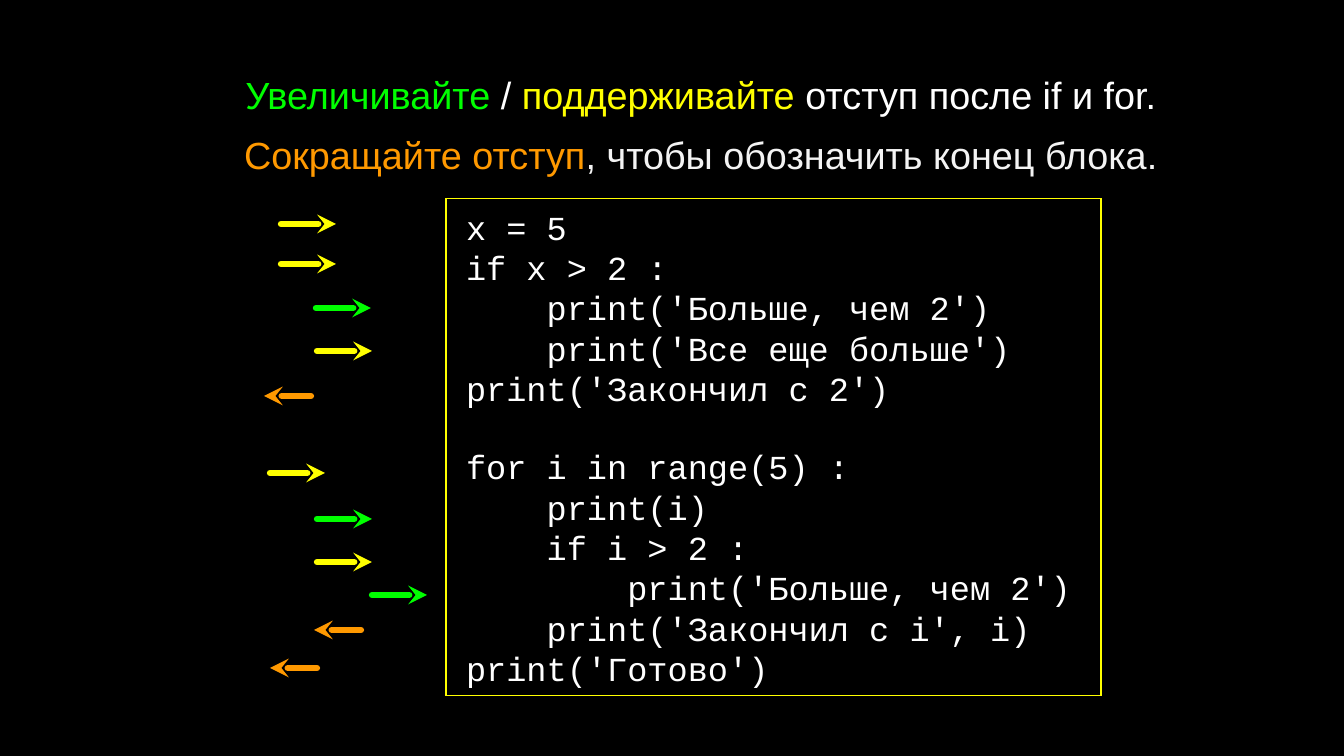
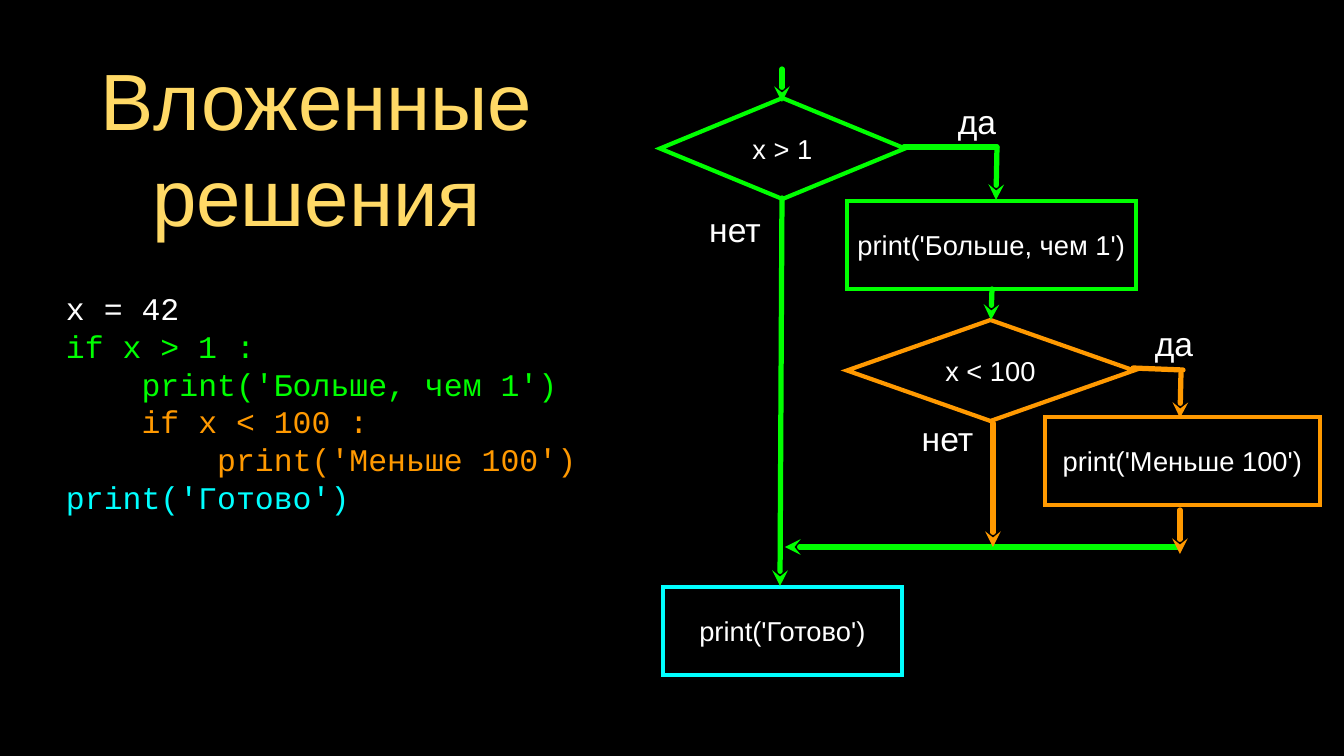
from dataclasses import dataclass

from lxml import etree
from pptx import Presentation
from pptx.dml.color import RGBColor
from pptx.enum.shapes import MSO_CONNECTOR, MSO_SHAPE
from pptx.enum.text import MSO_ANCHOR, MSO_AUTO_SIZE, PP_ALIGN
from pptx.oxml.ns import qn
from pptx.util import Emu, Pt

# Shared look
EMU_PER_PIXEL = 914400 / 75.6
BLACK, WHITE, PALE = "000000", "FFFFFF", "F3F3F3"
GREEN, YELLOW, ORANGE = "00FF00", "FFFF00", "FF9900"
CYAN, GOLD = "00FFFF", "FFD966"
SANS, MONO = "Arial", "Courier New"
LEFT, CENTER = PP_ALIGN.LEFT, PP_ALIGN.CENTER
TOP, MIDDLE = MSO_ANCHOR.TOP, MSO_ANCHOR.MIDDLE
RECTANGLE, DIAMOND = MSO_SHAPE.RECTANGLE, MSO_SHAPE.DIAMOND
STRAIGHT = MSO_CONNECTOR.STRAIGHT
NO_AUTOFIT = MSO_AUTO_SIZE.NONE
TITLE_ONLY = 5
CHAR_WIDTH, LINE_HEIGHT = 0.6, 1.133  # Monospace metrics, in ems


@dataclass
class Line:
    """One paragraph: spans of (text, colour), code depth, points above."""
    spans: list
    depth: int = 0
    before: float = 0


def px(length):
    return Emu(round(length * EMU_PER_PIXEL))


def color(hex_code):
    return RGBColor.from_string(hex_code)


def write(frame, lines, size, font=SANS, align=CENTER, anchor=MIDDLE,
          inset=0, left_inset=None):
    """Fill a text frame; a depth of one indents by four characters."""
    frame.auto_size = NO_AUTOFIT
    frame.word_wrap = True
    frame.vertical_anchor = anchor
    frame.margin_top = frame.margin_right = frame.margin_bottom = px(inset)
    frame.margin_left = px(inset if left_inset is None else left_inset)
    for index, line in enumerate(lines):
        para = frame.paragraphs[0] if index == 0 else frame.add_paragraph()
        para.alignment = align
        para.space_before = Pt(line.before)
        if line.depth:
            indent = Pt(line.depth * 4 * CHAR_WIDTH * size)
            para._p.get_or_add_pPr().set("marL", str(indent))
        for text, hex_code in line.spans:
            span = para.add_run()
            span.text = text
            span.font.name = font
            span.font.size = Pt(size)
            span.font.bold = False
            span.font.color.rgb = color(hex_code)


def place_title(page, box, lines, size, **text_format):
    title = page.shapes.title
    title.left, title.top, title.width, title.height = map(px, box)
    write(title.text_frame, lines, size, **text_format)


def add_text(page, box, lines, size, **text_format):
    text_box = page.shapes.add_textbox(*map(px, box))
    write(text_box.text_frame, lines, size, **text_format)


def add_outline(page, kind, box, hex_code, width, lines, size, **text_format):
    shape = page.shapes.add_shape(kind, *map(px, box))
    shape.shadow.inherit = False
    shape.fill.background()
    shape.line.color.rgb = color(hex_code)
    shape.line.width = Pt(width)
    miter = etree.SubElement(shape.line._get_or_add_ln(), qn("a:miter"))
    miter.set("lim", "800000")
    write(shape.text_frame, lines, size, **text_format)


def add_arrow(page, start, end, hex_code, width, head=True):
    """Round-capped line, with a stealth arrowhead at its end."""
    arrow = page.shapes.add_connector(STRAIGHT, *map(px, (*start, *end)))
    arrow.line.color.rgb = color(hex_code)
    arrow.line.width = Pt(width)
    outline = arrow.line._get_or_add_ln()
    outline.set("cap", "rnd")
    etree.SubElement(outline, qn("a:round"))
    if head:
        etree.SubElement(outline, qn("a:tailEnd")).set("type", "stealth")
    etree.SubElement(arrow._element.spPr, qn("a:effectLst"))


def indent_arrows(page, left, top):
    """Arrows that show how the indent changes on each line of code."""
    keep, deeper, back = (YELLOW, 55), (GREEN, 55), (ORANGE, -47)
    steps = [
        (17, 0, keep), (17, 40, keep), (52, 84, deeper), (53, 127, keep),
        (0, 172, back), (6, 249, keep), (53, 295, deeper), (53, 338, keep),
        (108, 371, deeper), (50, 406, back), (6, 444, back),
    ]
    for x, y, (hex_code, length) in steps:
        near, far = left + x, left + x + abs(length)
        start, end = (near, far) if length > 0 else (far, near)
        add_arrow(page, (start, top + y), (end, top + y), hex_code, 6)


def indent_slide(page):
    # Heading
    place_title(page, (218, 72, 966, 118), [
        Line([("Увеличивайте ", GREEN), ("/ ", WHITE),
              ("поддерживайте ", YELLOW),
              ("отступ после if и for.", WHITE)]),
        Line([("Сокращайте отступ", ORANGE),
              (", чтобы обозначить конец блока.", PALE)], before=13.8),
    ], 36, anchor=TOP)

    # Code in a frame, with one line of space between its two blocks
    size = 32
    first_block = [
        (0, "x = 5"), (0, "if x > 2 :"), (1, "print('Больше, чем 2')"),
        (1, "print('Все еще больше')"), (0, "print('Закончил с 2')"),
    ]
    second_block = [
        (0, "for i in range(5) :"), (1, "print(i)"), (1, "if i > 2 :"),
        (2, "print('Больше, чем 2')"), (1, "print('Закончил с i', i)"),
        (0, "print('Готово')"),
    ]
    lines = [Line([(text, WHITE)], depth)
             for depth, text in first_block + second_block]
    lines[len(first_block)].before = round(size * LINE_HEIGHT, 2)
    add_outline(page, RECTANGLE, (446, 199, 655, 497), YELLOW, 1, lines, size,
                font=MONO, align=LEFT, left_inset=20)

    indent_arrows(page, 264, 224)


def flowchart(page, left, top):
    # Decisions and actions
    nodes = [
        (DIAMOND, (0, 30, 245, 101), GREEN, "x > 1"),
        (RECTANGLE, (187, 133, 289, 88), GREEN, "print('Больше, чем 1')"),
        (DIAMOND, (187, 252, 287, 101), ORANGE, "x < 100"),
        (RECTANGLE, (385, 349, 275, 88), ORANGE, "print('Меньше 100')"),
        (RECTANGLE, (3, 519, 239, 88), CYAN, "print('Готово')"),
    ]
    for kind, (x, y, width, height), hex_code, text in nodes:
        add_outline(page, kind, (left + x, top + y, width, height), hex_code,
                    4, [Line([(text, WHITE)])], 26)

    # Paths: start, end, colour, arrowhead
    paths = [
        ((122, 1), (122, 34), GREEN, True),
        ((244, 79), (337, 79), GREEN, False),
        ((337, 79), (336, 132), GREEN, True),
        ((122, 130), (120, 518), GREEN, True),
        ((473, 300), (523, 302), ORANGE, False),
        ((521, 305), (520, 350), ORANGE, True),
        ((332, 221), (331, 252), GREEN, True),
        ((518, 479), (125, 479), GREEN, True),
        ((333, 355), (333, 479), ORANGE, True),
        ((520, 442), (520, 486), ORANGE, True),
    ]
    for (x1, y1), (x2, y2), hex_code, head in paths:
        add_arrow(page, (left + x1, top + y1), (left + x2, top + y2),
                  hex_code, 5, head)

    # Branch labels
    labels = [(279, 34, 76, "да"), (476, 256, 76, "да"),
              (256, 351, 63, "нет"), (45, 142, 60, "нет")]
    for x, y, width, text in labels:
        add_text(page, (left + x, top + y, width, 39),
                 [Line([(text, WHITE)])], 32)


def nested_slide(page):
    place_title(page, (97, 57, 439, 179),
                [Line([("Вложенные решения", GOLD)])], 76, inset=3)

    # Code, coloured like the parts of the flowchart
    code = [
        (0, "x = 42", WHITE), (0, "if x > 1 :", GREEN),
        (1, "print('Больше, чем 1')", GREEN), (1, "if x < 100 :", ORANGE),
        (2, "print('Меньше 100')", ORANGE), (0, "print('Готово')", CYAN),
    ]
    add_text(page, (66, 265, 575, 275),
             [Line([(text, hex_code)], depth)
              for depth, text, hex_code in code],
             30, font=MONO, align=LEFT)

    flowchart(page, 660, 68)


deck = Presentation()
deck.slide_width, deck.slide_height = px(1344), px(756)
backdrop = deck.slide_master.background.fill
backdrop.solid()
backdrop.fore_color.rgb = color(BLACK)
for build in (indent_slide, nested_slide):
    build(deck.slides.add_slide(deck.slide_layouts[TITLE_ONLY]))
deck.save("out.pptx")
